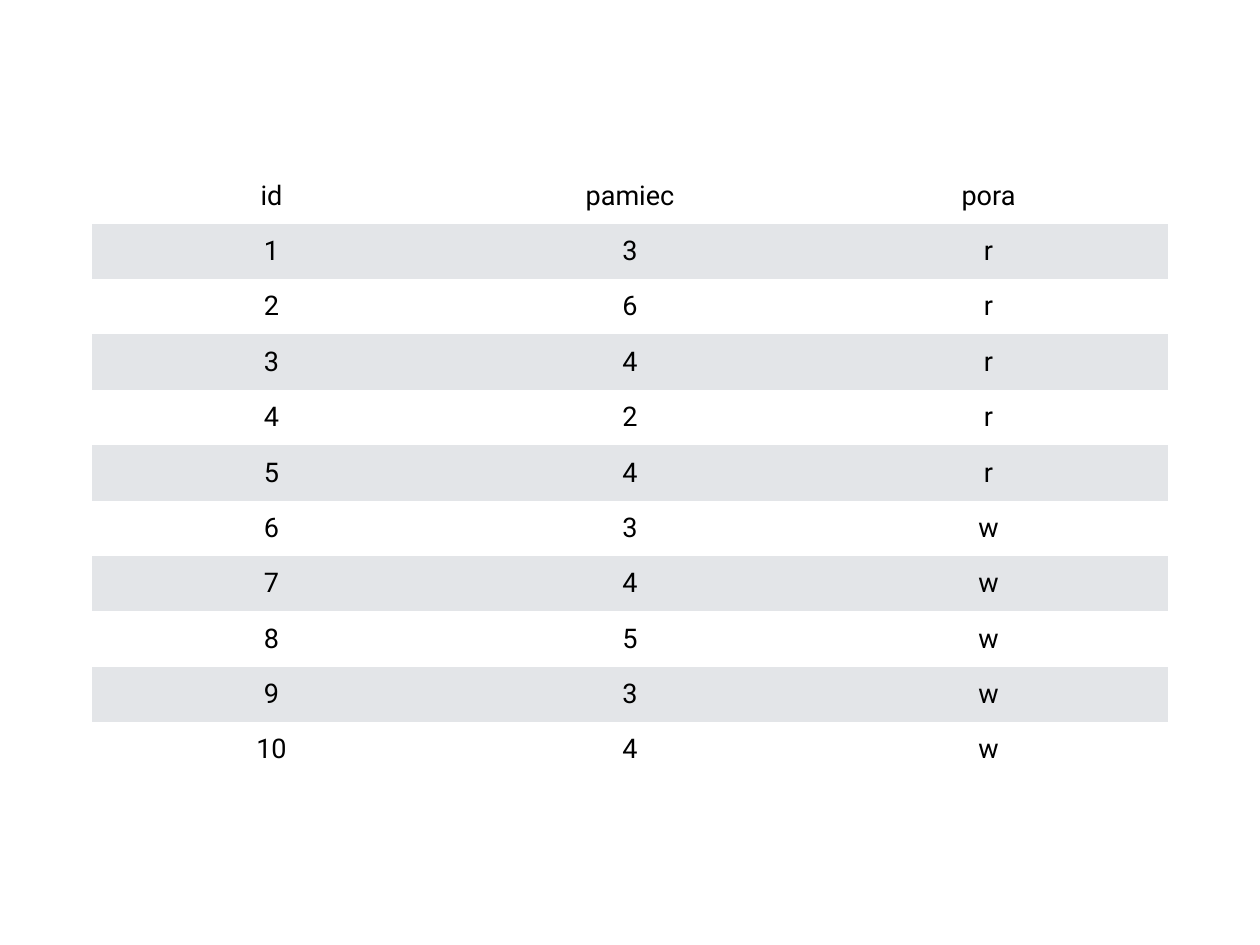
from lxml.etree import SubElement
from pptx import Presentation
from pptx.dml.color import RGBColor
from pptx.enum.text import MSO_ANCHOR, PP_ALIGN
from pptx.oxml.ns import qn
from pptx.util import Inches, Pt

BLACK = RGBColor(0x00, 0x00, 0x00)
WHITE = RGBColor(0xFF, 0xFF, 0xFF)
BAND = RGBColor(0xE3, 0xE5, 0xE8)

HEADER = ("id", "pamiec", "pora")
MEMORY = (3, 6, 4, 2, 4, 3, 4, 5, 3, 4)
SEASONS = "rrrrrwwwww"


def write(tf, text, font="Roboto", size=22, color=BLACK, align=PP_ALIGN.CENTER):
    p = tf.paragraphs[0]
    p.alignment = align
    r = p.add_run()
    r.text = str(text)
    r.font.name = font
    r.font.size = Pt(size)
    r.font.color.rgb = color


class Deck:
    margin = Inches(0.06)
    fills = (WHITE, BAND)

    def __init__(self, width, height):
        self.prs = Presentation()
        self.prs.slide_width = Inches(width)
        self.prs.slide_height = Inches(height)
        self.s = self.prs.slides.add_slide(self.prs.slide_layouts[6])

    def cell(self, cell, text, fill):
        cell.margin_left = cell.margin_right = self.margin
        cell.margin_top = cell.margin_bottom = self.margin
        cell.vertical_anchor = MSO_ANCHOR.MIDDLE
        tc_pr = cell._tc.get_or_add_tcPr()
        for side in ("lnL", "lnR", "lnT", "lnB"):
            SubElement(SubElement(tc_pr, qn(f"a:{side}"), w="0"), qn("a:noFill"))
        cell.fill.solid()
        cell.fill.fore_color.rgb = fill
        write(cell.text_frame, text)

    def table(self, rows, left, top, width, height):
        box = map(Inches, (left, top, width, height))
        table = self.s.shapes.add_table(len(rows), len(rows[0]), *box).table
        for i, row in enumerate(rows):
            for j, text in enumerate(row):
                self.cell(table.cell(i, j), text, self.fills[i % 2])


deck = Deck(14.22, 10.67)
records = [(i, *pair) for i, pair in enumerate(zip(MEMORY, SEASONS), 1)]
deck.table([HEADER, *records], 1.04, 1.9, 12.14, 6.88)
deck.prs.save("out.pptx")
